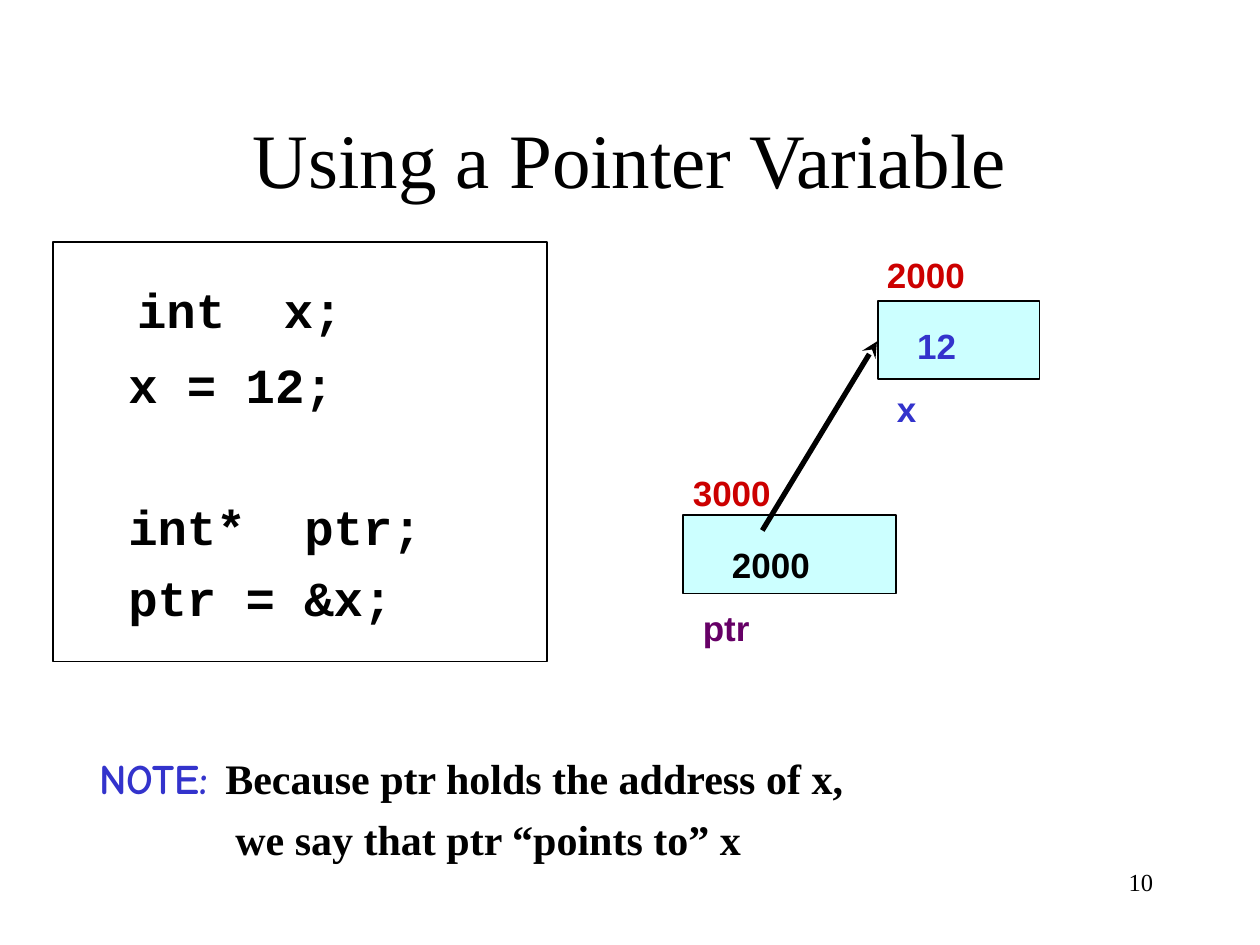
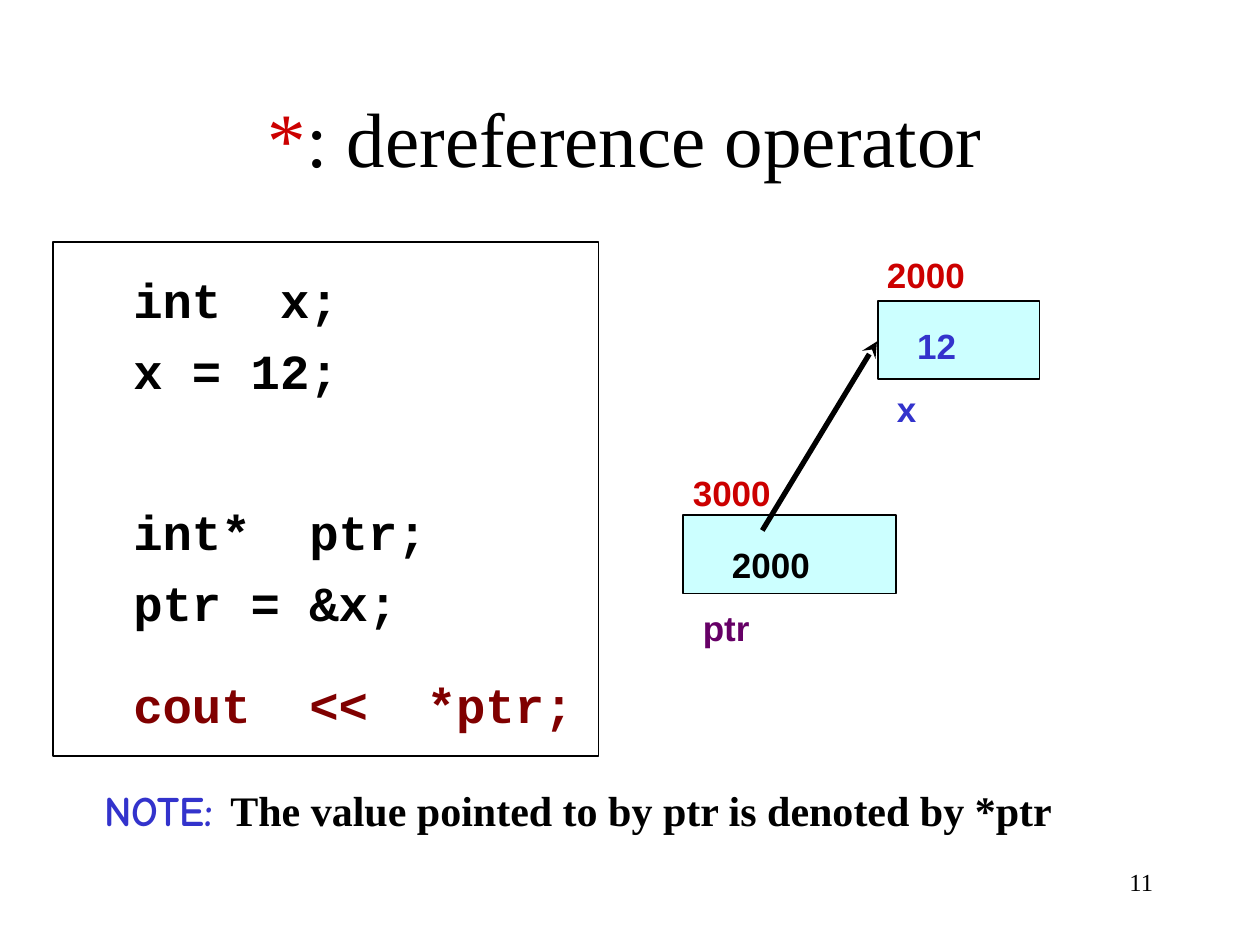
from lxml.etree import SubElement
from pptx import Presentation
from pptx.dml.color import RGBColor
from pptx.enum.shapes import MSO_CONNECTOR, MSO_SHAPE
from pptx.enum.text import MSO_ANCHOR, PP_ALIGN
from pptx.oxml.ns import qn
from pptx.util import Inches, Pt

BLACK = RGBColor(0x00, 0x00, 0x00)
WHITE = RGBColor(0xFF, 0xFF, 0xFF)
RED = RGBColor(0xCC, 0x00, 0x00)
BLUE = RGBColor(0x33, 0x33, 0xCC)
PURPLE = RGBColor(0x66, 0x00, 0x66)
MAROON = RGBColor(0x80, 0x00, 0x00)
CELL = RGBColor(0xCC, 0xFF, 0xFF)

SERIF, SANS, MONO, NOTE_FONT = "Times New Roman", "Arial", "Courier New", "Comic Neue"
LEADING = 1.2
CODE_GAP = 7
CODE_INDENT = 0.23
NOTE_TAB = 1.03


def add_frame(page, left, top, width, height):
    """Add a wrapping text box and return its text frame."""
    box = page.shapes.add_textbox(Inches(left), Inches(top), Inches(width), Inches(height))
    box.text_frame.word_wrap = True
    return box.text_frame


def add_para(frame, size, before=0, indent=0, tab=None):
    """Start a line with fixed leading, using the frame's empty first paragraph."""
    first = frame.paragraphs[0]
    para = frame.add_paragraph() if first.runs else first
    props = para._p.get_or_add_pPr()
    props.set("marL", str(Inches(indent)))
    props.set("indent", "0")
    para.line_spacing = Pt(size * LEADING)
    para.space_before = Pt(before)
    if tab:
        stops = SubElement(props, qn("a:tabLst"))
        SubElement(stops, qn("a:tab"), pos=str(Inches(tab)), algn="l")
    return para


def add_span(para, text, size, font, color=BLACK, bold=False):
    span = para.add_run()
    span.text = text
    span.font.size = Pt(size)
    span.font.name = font
    span.font.bold = bold
    span.font.color.rgb = color


def add_rect(page, left, top, width, height, fill):
    rect = page.shapes.add_shape(
        MSO_SHAPE.RECTANGLE, Inches(left), Inches(top), Inches(width), Inches(height))
    rect.shadow.inherit = False
    rect.fill.solid()
    rect.fill.fore_color.rgb = fill
    rect.line.color.rgb = BLACK
    rect.line.width = Pt(1)


def add_title(page, left, top, width, spans):
    frame = add_frame(page, left, top, width, 1.25)
    frame.vertical_anchor = MSO_ANCHOR.BOTTOM
    para = frame.paragraphs[0]
    para.alignment = PP_ALIGN.CENTER
    for text, color in spans:
        add_span(para, text, 44, SERIF, color)


def add_body(page, left, top, height, code, note, note_gap):
    """Code lines, then a note whose first line follows a blue label."""
    frame = add_frame(page, left, top, 8.6, height)
    frame.margin_top = Inches(0.1)
    for text, before, indent, color in code:
        add_span(add_para(frame, 28, before, indent), text, 28, MONO, color, True)

    para = add_para(frame, 24, note_gap, tab=NOTE_TAB)
    add_span(para, "NOTE:", 24, NOTE_FONT, BLUE, True)
    add_span(para, "\t" + note[0], 24, SERIF, bold=True)
    for text in note[1:]:
        add_span(add_para(frame, 24, 6, NOTE_TAB + 0.05), text, 24, SERIF, bold=True)


def add_memory(page, left, top):
    """Two memory cells, the arrow between them and their labels."""
    add_rect(page, left + 1.57, top + 0.43, 1.28, 0.62, CELL)  # x
    add_rect(page, left + 0.02, top + 2.13, 1.69, 0.62, CELL)  # ptr

    # Pointer from ptr to x
    arrow = page.shapes.add_connector(
        MSO_CONNECTOR.STRAIGHT, Inches(left + 0.65), Inches(top + 2.25),
        Inches(left + 1.56), Inches(top + 0.75))
    arrow.line.color.rgb = BLACK
    arrow.line.width = Pt(3)
    SubElement(arrow.line._get_or_add_ln(), qn("a:tailEnd"), type="stealth")
    SubElement(arrow._element.spPr, qn("a:effectLst"))

    # Address, value and name of each cell: text, space before, indent, colour
    labels = [
        ("2000", 0, 1.54, RED),
        ("12", 16.8, 1.78, BLUE),
        ("x", 12, 1.62, BLUE),
        ("3000", 24, 0, RED),
        ("2000", 16.8, 0.31, BLACK),
        ("ptr", 12, 0.08, PURPLE),
    ]
    frame = add_frame(page, left, top, 3.75, 3.57)
    for text, before, indent, color in labels:
        add_span(add_para(frame, 20, before, indent), text, 20, SANS, color, True)


def add_page_number(page, number):
    para = add_frame(page, 7.17, 6.83, 2.08, 0.5).paragraphs[0]
    para.alignment = PP_ALIGN.RIGHT
    add_span(para, str(number), 14, SERIF)


def add_page(deck, number, panel, title, body):
    page = deck.slides.add_slide(deck.slide_layouts[6])
    add_rect(page, 0.42, 1.92, *panel, WHITE)
    add_title(page, *title)
    add_body(page, *body)
    add_memory(page, 5.4, 1.96)
    add_page_number(page, number)


def main():
    deck = Presentation()
    deck.slide_width, deck.slide_height = Inches(10), Inches(7.5)

    # Code lines: text, space before, indent, colour
    pointer_code = [
        ("int  x;", 0, 0.3, BLACK),
        ("x = 12;", 9.3, CODE_INDENT, BLACK),
        ("int*  ptr;", 47.6, CODE_INDENT, BLACK),
        ("ptr = &x;", CODE_GAP, CODE_INDENT, BLACK),
    ]
    add_page(
        deck, 10, (3.92, 3.33),
        (0.75, 0.42, 8.5, [("Using a Pointer Variable", BLACK)]),
        (0.69, 2.12, 4.8, pointer_code,
         ["Because ptr holds the address of x,", "we say that ptr “points to” x"], 72))

    dereference_code = [
        ("int  x;", 0, CODE_INDENT, BLACK),
        ("x = 12;", CODE_GAP, CODE_INDENT, BLACK),
        ("int*  ptr;", 58.4, CODE_INDENT, BLACK),
        ("ptr = &x;", CODE_GAP, CODE_INDENT, BLACK),
        ("cout  <<  *ptr;", 24.7, CODE_INDENT, MAROON),
    ]
    add_page(
        deck, 11, (4.33, 4.08),
        (0.67, 0.25, 8.58, [("*", RED), (": dereference operator", BLACK)]),
        (0.73, 2.04, 4.65, dereference_code,
         ["The value pointed to by ptr is denoted by *ptr"], 29))

    deck.save("out.pptx")


if __name__ == "__main__":
    main()
